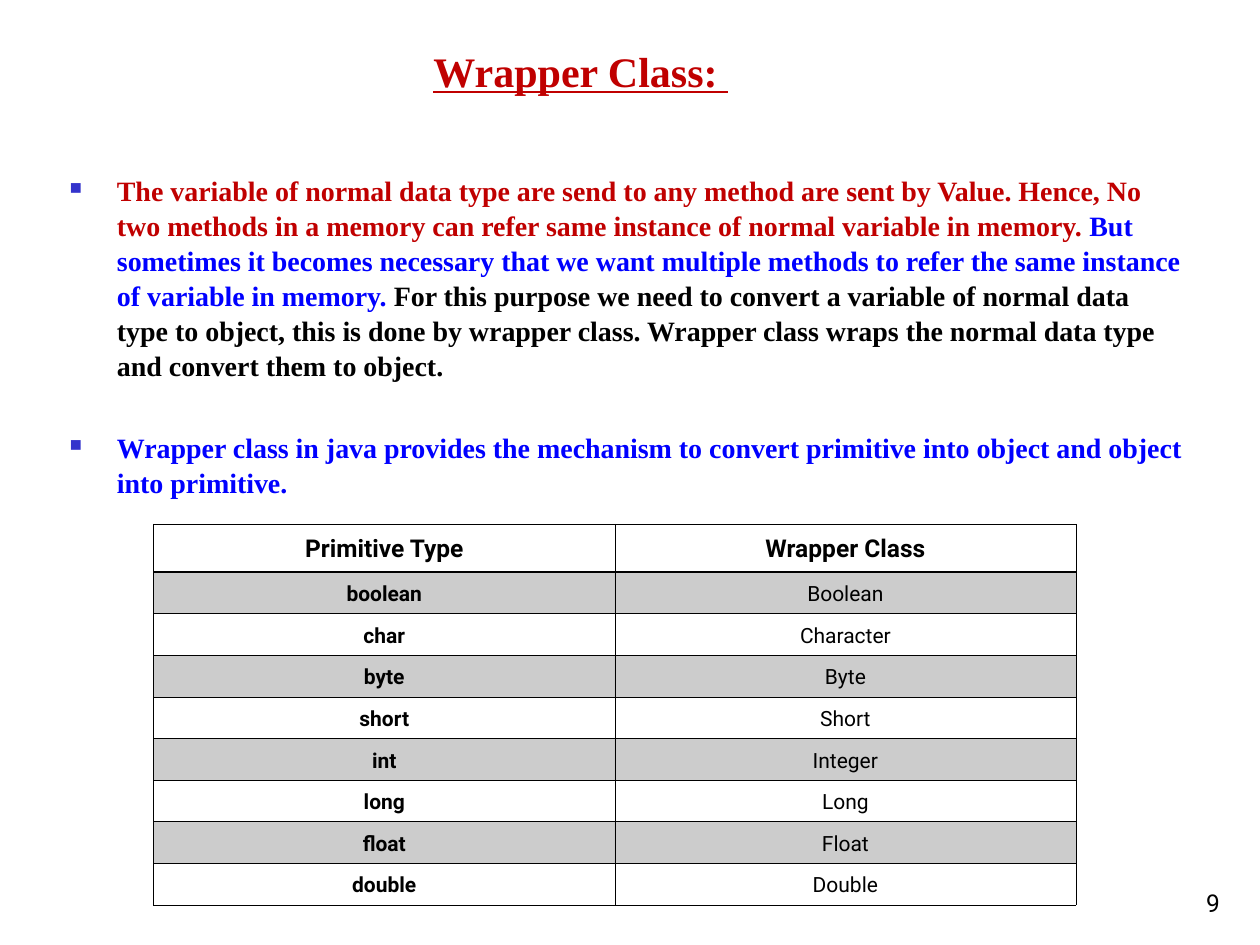
import pptx
import pptx.dml.color
import pptx.enum.text
import pptx.oxml
import pptx.oxml.ns
import pptx.util

SLIDE_WIDTH = pptx.util.Inches(10)
SLIDE_HEIGHT = pptx.util.Inches(7.5)
SERIF = "Times New Roman"
SANS = "Roboto"
BLACK, RED, BLUE, BULLET_BLUE = "000000", "C00000", "0000FF", "3333CC"
ALIGN = pptx.enum.text.PP_ALIGN
ANCHOR = pptx.enum.text.MSO_ANCHOR

BULLETS = [
    [
        ("The variable of normal data type are send to any method are sent by Value. "
         "Hence, No two methods in a memory can refer same instance of normal variable in memory. ", RED),
        ("But sometimes it becomes necessary that we want multiple methods to refer "
         "the same instance of variable in memory.", BLUE),
        (" For this purpose we need to convert a variable of normal data type to object, "
         "this is done by wrapper class. Wrapper class wraps the normal data type "
         "and convert them to object.", BLACK),
    ],
    [("Wrapper class in java provides the mechanism to convert primitive into object "
      "and object into primitive.", BLUE)],
]
TYPES = [
    ("Primitive Type", "Wrapper Class"),
    ("boolean", "Boolean"),
    ("char", "Character"),
    ("byte", "Byte"),
    ("short", "Short"),
    ("int", "Integer"),
    ("long", "Long"),
    ("float", "Float"),
    ("double", "Double"),
]


def across(percent):
    return round(SLIDE_WIDTH * percent / 100)


def down(percent):
    return round(SLIDE_HEIGHT * percent / 100)


def colour(value):
    return pptx.dml.color.RGBColor.from_string(value)


def element(markup):
    namespace = pptx.oxml.ns.nsdecls("a")
    return pptx.oxml.parse_xml(markup.replace(">", f" {namespace}>", 1))


def add_run(paragraph, text, size, font, shade, bold=False, underline=False):
    run = paragraph.add_run()
    run.text = text
    run.font.size = pptx.util.Pt(size)
    run.font.name = font
    run.font.bold = bold
    run.font.underline = underline
    run.font.color.rgb = colour(shade)


def add_text_box(slide, left, top, width, height, anchor):
    shape = slide.shapes.add_textbox(across(left), down(top), across(width), down(height))
    frame = shape.text_frame
    frame.word_wrap = True
    frame.vertical_anchor = anchor
    return frame


def add_line(slide, position, alignment, text, *style):
    paragraph = add_text_box(slide, *position, ANCHOR.BOTTOM).paragraphs[0]
    paragraph.alignment = alignment
    add_run(paragraph, text, *style)


def add_bullet(paragraph):
    properties = paragraph._p.get_or_add_pPr()
    properties.set("marL", str(across(4.8)))
    properties.set("indent", str(-across(3.75)))
    for markup in (
        f'<a:buClr><a:srgbClr val="{BULLET_BLUE}"/></a:buClr>',
        '<a:buSzPct val="60000"></a:buSzPct>',
        '<a:buChar char="■"></a:buChar>',
    ):
        properties.append(element(markup))


def add_body(slide):
    frame = add_text_box(slide, 3.5, 13.2, 91.3, 84.53, ANCHOR.TOP)
    frame.margin_top = down(5.07)
    frame.margin_right = across(0.8)
    for index, runs in enumerate(BULLETS):
        paragraph = frame.add_paragraph() if index else frame.paragraphs[0]
        add_bullet(paragraph)
        paragraph.line_spacing = 1.04
        if index:
            paragraph.space_before = pptx.util.Pt(27)
        for text, shade in runs:
            add_run(paragraph, text, 16, SERIF, shade, True)


def set_borders(cell, top, bottom):
    properties = cell._tc.get_or_add_tcPr()
    widths = {"lnL": 0.45, "lnR": 0.45, "lnT": top, "lnB": bottom}
    for index, (side, width) in enumerate(widths.items()):
        border = element(
            f'<a:{side} w="{pptx.util.Pt(width)}"><a:solidFill>'
            f'<a:srgbClr val="{BLACK}"/></a:solidFill></a:{side}>'
        )
        properties.insert(index, border)


def set_fill(cell, shaded):
    if not shaded:
        cell.fill.background()
        return
    cell.fill.solid()
    cell.fill.fore_color.rgb = colour(BLACK)
    shade = cell._tc.tcPr.find(".//" + pptx.oxml.ns.qn("a:srgbClr"))
    shade.append(element('<a:alpha val="20000"></a:alpha>'))


def fill_cell(cell, text, row, column):
    cell.margin_left = cell.margin_right = across(0.7)
    set_fill(cell, row % 2 == 1)
    set_borders(cell, 0.96 if row == 1 else 0.45, 0.96 if row == 0 else 0.45)
    paragraph = cell.text_frame.paragraphs[0]
    paragraph.alignment = ALIGN.CENTER
    paragraph.line_spacing = 1.15
    add_run(paragraph, text, 12 if row else 14, SANS, BLACK, row == 0 or column == 0)


def add_type_table(slide):
    heights = [down(5.07)] + [down(4.32)] * (len(TYPES) - 1)
    table = slide.shapes.add_table(
        len(TYPES), 2, across(12.2), down(55.47), across(73.2), sum(heights)
    ).table
    for row, (height, names) in enumerate(zip(heights, TYPES)):
        table.rows[row].height = height
        for column, name in enumerate(names):
            fill_cell(table.cell(row, column), name, row, column)


def main():
    presentation = pptx.Presentation()
    presentation.slide_width = SLIDE_WIDTH
    presentation.slide_height = SLIDE_HEIGHT
    slide = presentation.slides.add_slide(presentation.slide_layouts[6])
    add_line(slide, (3.5, 2.8, 85.2, 8), ALIGN.CENTER, "Wrapper Class: ", 24, SERIF, RED, True, True)
    add_body(slide)
    add_line(slide, (77, 91.07, 20.8, 6.67), ALIGN.RIGHT, "9", 14, SANS, BLACK)
    add_type_table(slide)
    presentation.save("out.pptx")


if __name__ == "__main__":
    main()
